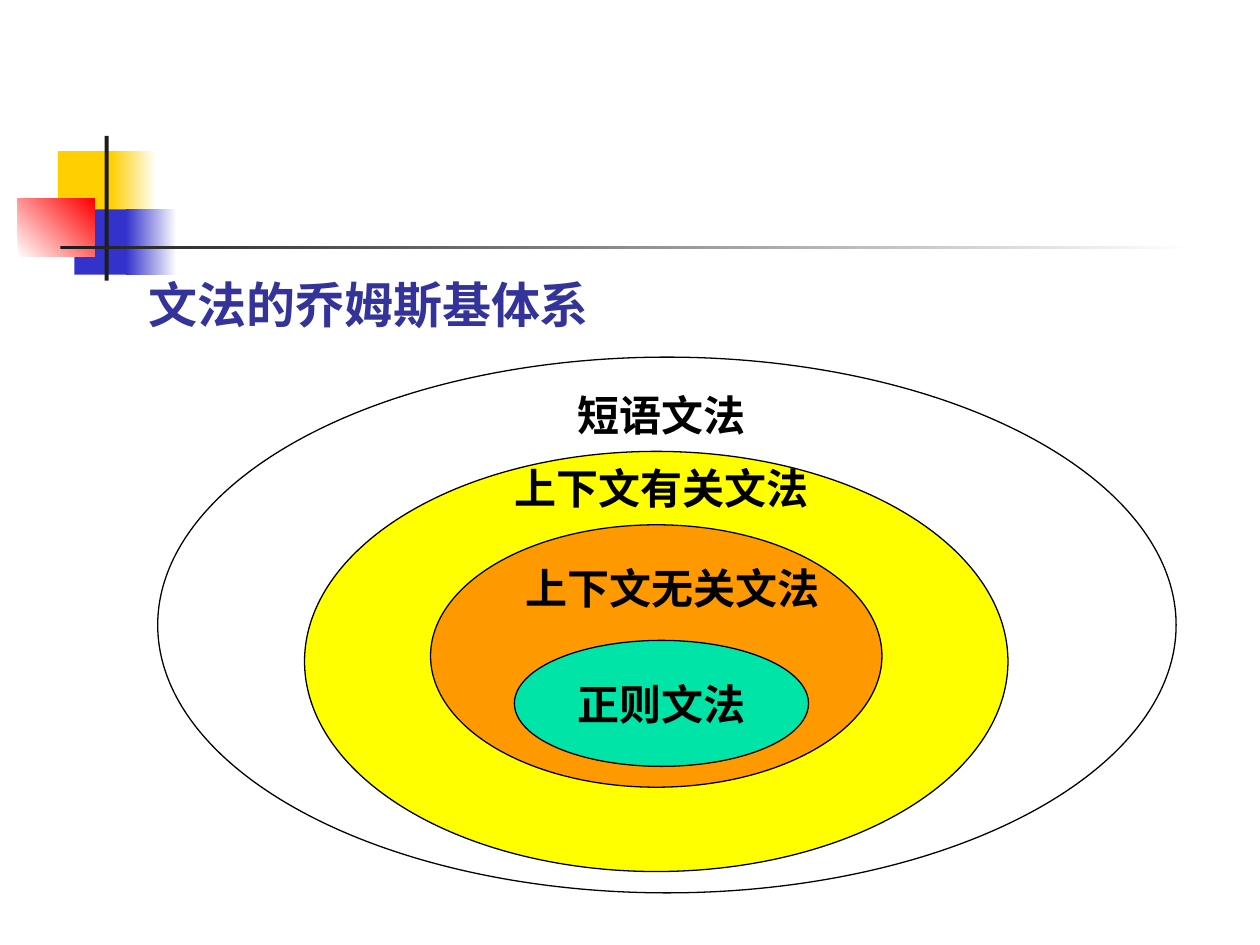
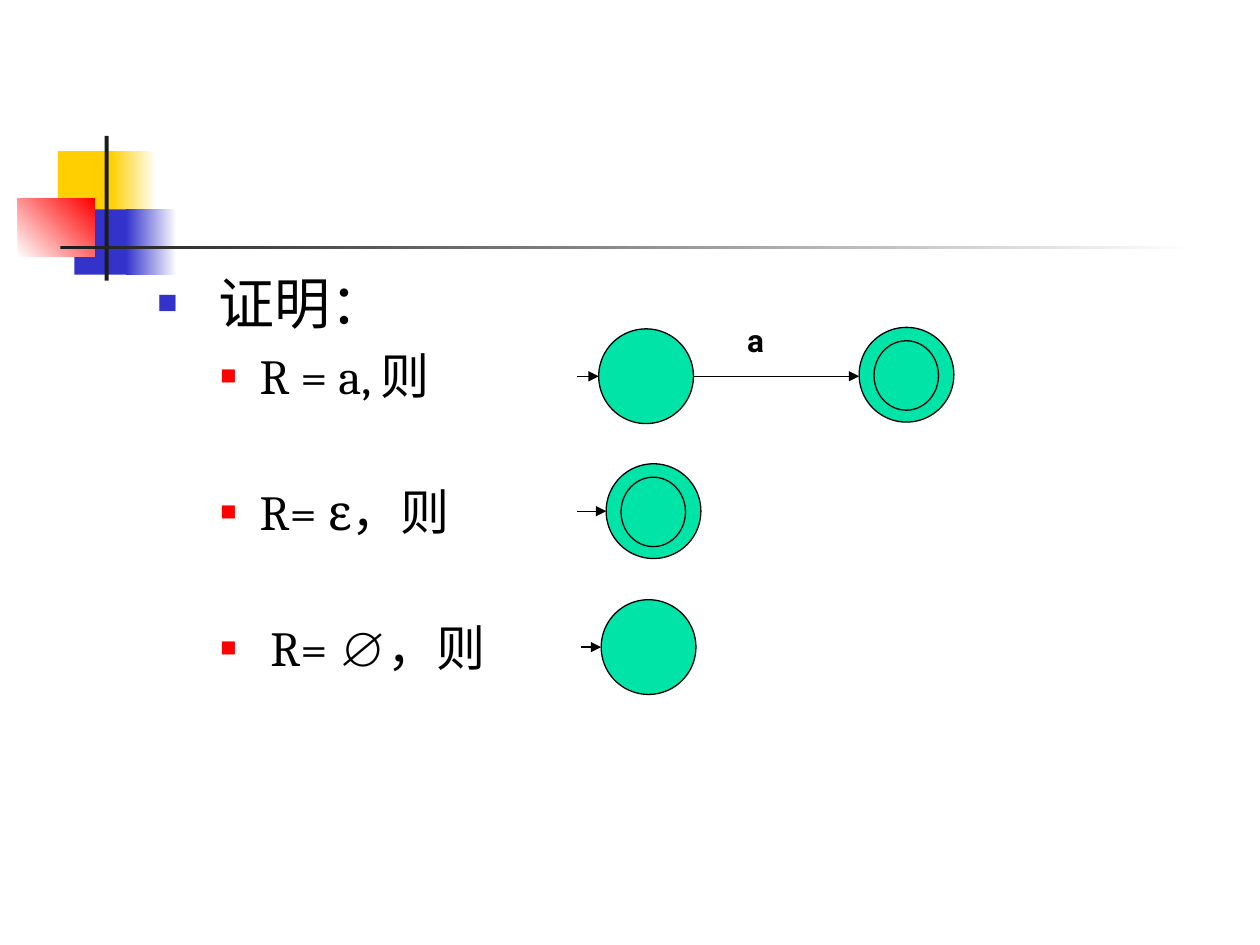
from lxml import etree
from pptx import Presentation
from pptx.dml.color import RGBColor
from pptx.enum.shapes import MSO_CONNECTOR, MSO_SHAPE as Preset
from pptx.enum.text import MSO_ANCHOR as Anchor, MSO_AUTO_SIZE as AutoSize, PP_ALIGN as Align
from pptx.oxml.ns import qn
from pptx.util import Cm, Pt

WHITE = RGBColor(0xFF, 0xFF, 0xFF)
BLACK = RGBColor(0x00, 0x00, 0x00)
CHARCOAL = RGBColor(0x1C, 0x1C, 0x1C)
GOLD = RGBColor(0xFF, 0xCF, 0x01)
BLUE = RGBColor(0x33, 0x33, 0xCC)
NAVY = RGBColor(0x33, 0x33, 0x99)
RED = RGBColor(0xFF, 0x00, 0x00)
YELLOW = RGBColor(0xFF, 0xFF, 0x00)
ORANGE = RGBColor(0xFF, 0x99, 0x00)
MINT = RGBColor(0x00, 0xE4, 0xA8)

TITLE_FONT = dict(name="Roboto", size=Pt(28), bold=True)
LABEL_FONT = dict(name="Times New Roman", size=Pt(24), bold=True)
SYMBOL_FONT = dict(name="Roboto", size=Pt(18), bold=True)

# Shared emblem: left, top, width, height in cm, colours, gradient angle
EMBLEM = [
    ((1.17, 3.05, 1.22, 1.32), [GOLD], 0),
    ((2.24, 3.05, 0.91, 1.32), [GOLD, WHITE], 0),
    ((1.5, 4.22, 1.17, 1.32), [BLUE], 0),
    ((2.54, 4.22, 1.02, 1.32), [BLUE, WHITE], 0),
    ((0.36, 4.01, 1.55, 1.17), [WHITE, RED], 45),
    ((2.11, 2.74, 0.08, 2.92), [CHARCOAL], 0),
    ((1.22, 4.95, 22.86, 0.08), [CHARCOAL, WHITE], 0),
]

# Slide 1: grammar classes, outermost first: name, colour, ellipse, label
TITLE = "文法的乔姆斯基体系"
TITLE_BOX = (2.74, 5.08, 10.36, 2.11)
GRAMMARS = [
    ("短语文法", WHITE, (3.18, 7.2, 20.53, 10.8), (9.95, 7.83, 6.78, 1.06)),
    ("上下文有关文法", YELLOW, (6.14, 9.1, 14.18, 8.47), (9.95, 9.31, 6.78, 1.06)),
    ("上下文无关文法", ORANGE, (8.68, 10.58, 9.1, 5.29), (10.16, 11.22, 6.78, 1.27)),
    ("正则文法", MINT, (10.37, 12.91, 5.93, 2.54), None),
]

# Slide 2: proof cases: text, level, space before in points
PROOF = [
    (" 证明：", 0, 0),
    ("R = a, 则", 1, 5.6),
    ("R= ε，则", 1, 44),
    (" R= ∅，则", 1, 44),
]
PROOF_BOX = (2.92, 5.29, 7.24, 11.43)
LEVELS = [
    dict(size=32, margin=0.97, hanging=0.97, bullet=BLUE, percent=60),
    dict(size=28, margin=2.06, hanging=0.79, bullet=RED, percent=55),
]
# States: left, top, accepting, start of the entry arrow
STATE_SIZE = 1.91
STATES = [
    (12.07, 6.63, False, 11.63),
    (17.32, 6.6, True, None),
    (12.22, 9.35, True, 11.63),
    (12.12, 12.09, False, 11.71),
]
SYMBOL, SYMBOL_BOX = "a", (14.81, 6.35, 1.04, 1.02)


def place(part, box):
    for side, value in zip(("left", "top", "width", "height"), box):
        setattr(part, side, Cm(value))


def write(frame, text, font, color=BLACK, **layout):
    for key, value in layout.items():
        setattr(frame, key, value)
    run = frame.paragraphs[0].add_run()
    run.text = text
    style(run, font, color)


def style(run, font, color=BLACK):
    for key, value in font.items():
        setattr(run.font, key, value)
    run.font.color.rgb = color


def draw(slide, preset, box, color, outlined=True):
    shape = slide.shapes.add_shape(preset, *map(Cm, box))
    shape.shadow.inherit = False
    shape.fill.solid()
    shape.fill.fore_color.rgb = color
    if outlined:
        shape.line.color.rgb = BLACK
        shape.line.width = Pt(0.75)
    else:
        shape.line.fill.background()
    return shape


def add_label(slide, text, box, font, **layout):
    frame = slide.shapes.add_textbox(*map(Cm, box)).text_frame
    write(frame, text, font, **layout)
    return frame


def add_arrow(slide, start, end, y):
    arrow = slide.shapes.add_connector(
        MSO_CONNECTOR.STRAIGHT, Cm(start), Cm(y), Cm(end), Cm(y))
    arrow.line.color.rgb = BLACK
    arrow.line.width = Pt(0.75)
    etree.SubElement(arrow.line._get_or_add_ln(), qn("a:tailEnd"), type="triangle")
    etree.SubElement(arrow.element.spPr, qn("a:effectLst"))


def add_bullet(paragraph, margin, hanging, color, percent):
    props = paragraph._p.get_or_add_pPr()
    props.set("marL", str(Cm(margin)))
    props.set("indent", str(-Cm(hanging)))
    tint = etree.SubElement(props, qn("a:buClr"))
    etree.SubElement(tint, qn("a:srgbClr"), val=str(color))
    etree.SubElement(props, qn("a:buSzPct"), val=str(percent * 1000))
    etree.SubElement(props, qn("a:buChar"), char="■")


def put_emblem_on_master(slide, master):
    """Draw the emblem and move it behind everything on the master."""
    for order, (box, colors, angle) in enumerate(EMBLEM):
        block = draw(slide, Preset.RECTANGLE, box, colors[0], outlined=False)
        if len(colors) > 1:
            block.fill.gradient()
            block.fill.gradient_angle = angle
            for stop, color, position in zip(block.fill.gradient_stops, colors, (0, 1)):
                stop.color.rgb = color
                stop.position = position
        block.element.nvSpPr.cNvPr.set("id", str(100 + order))
        master.shapes.element.insert(2 + order, block.element)


def build_hierarchy(slide):
    place(slide.shapes.title, TITLE_BOX)
    write(slide.shapes.title.text_frame, TITLE, TITLE_FONT, NAVY,
          vertical_anchor=Anchor.MIDDLE, auto_size=AutoSize.NONE)
    slide.shapes.title.text_frame.paragraphs[0].alignment = Align.LEFT
    centred = dict(vertical_anchor=Anchor.MIDDLE, word_wrap=False)
    # All ellipses first, so that no label is covered
    ellipses = [draw(slide, Preset.OVAL, oval, color) for _, color, oval, _ in GRAMMARS]
    for ellipse, (name, _, _, label) in zip(ellipses, GRAMMARS):
        if label:
            frame = add_label(slide, name, label, LABEL_FONT, **centred)
        else:
            frame = ellipse.text_frame
            write(frame, name, LABEL_FONT, **centred)
        frame.paragraphs[0].alignment = Align.CENTER


def build_proof(slide):
    # Bulleted cases
    title = slide.shapes.title
    title.element.getparent().remove(title.element)
    body = slide.placeholders[1]
    place(body, PROOF_BOX)
    frame = body.text_frame
    frame.auto_size = AutoSize.NONE
    for index, (text, level, gap) in enumerate(PROOF):
        paragraph = frame.add_paragraph() if index else frame.paragraphs[0]
        look = LEVELS[level]
        paragraph.level = level
        add_bullet(paragraph, look["margin"], look["hanging"], look["bullet"], look["percent"])
        paragraph.space_before = Pt(gap)
        run = paragraph.add_run()
        run.text = text
        style(run, dict(name="Cambria", size=Pt(look["size"])))

    # Automata
    for left, top, accepting, entry in STATES:
        draw(slide, Preset.FLOWCHART_CONNECTOR, (left, top, STATE_SIZE, STATE_SIZE), MINT)
        if accepting:
            draw(slide, Preset.FLOWCHART_CONNECTOR, (left + 0.3, top + 0.27, 1.3, 1.4), MINT)
        if entry:
            add_arrow(slide, entry, left, top + STATE_SIZE / 2)
    (start, top, *_), (accept, *_) = STATES[:2]
    add_arrow(slide, start + STATE_SIZE, accept, top + STATE_SIZE / 2)
    add_label(slide, SYMBOL, SYMBOL_BOX, SYMBOL_FONT, word_wrap=True)


def main():
    deck = Presentation()
    deck.slide_width, deck.slide_height = Cm(25.4), Cm(19.05)
    hierarchy = deck.slides.add_slide(deck.slide_layouts.get_by_name("Title Only"))
    put_emblem_on_master(hierarchy, deck.slide_master)
    build_hierarchy(hierarchy)
    build_proof(deck.slides.add_slide(deck.slide_layouts.get_by_name("Title and Content")))
    deck.save("out.pptx")


if __name__ == "__main__":
    main()
